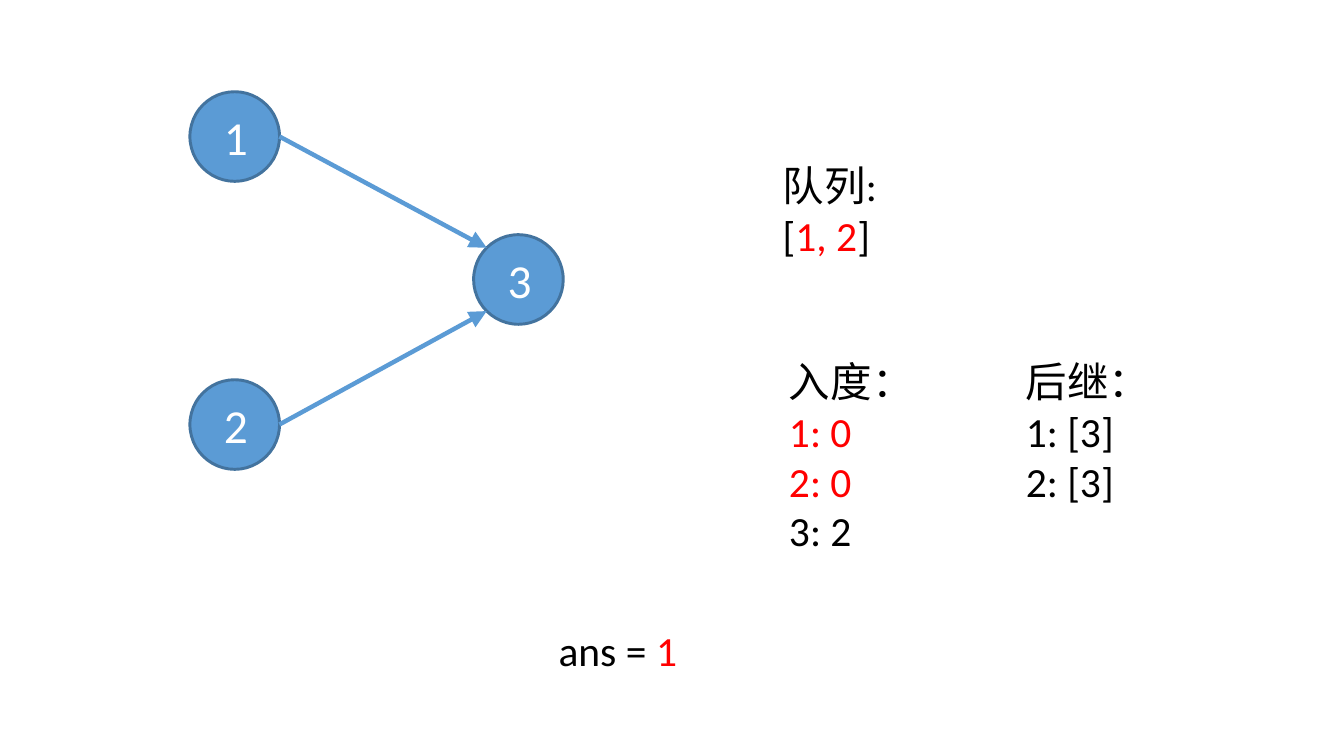
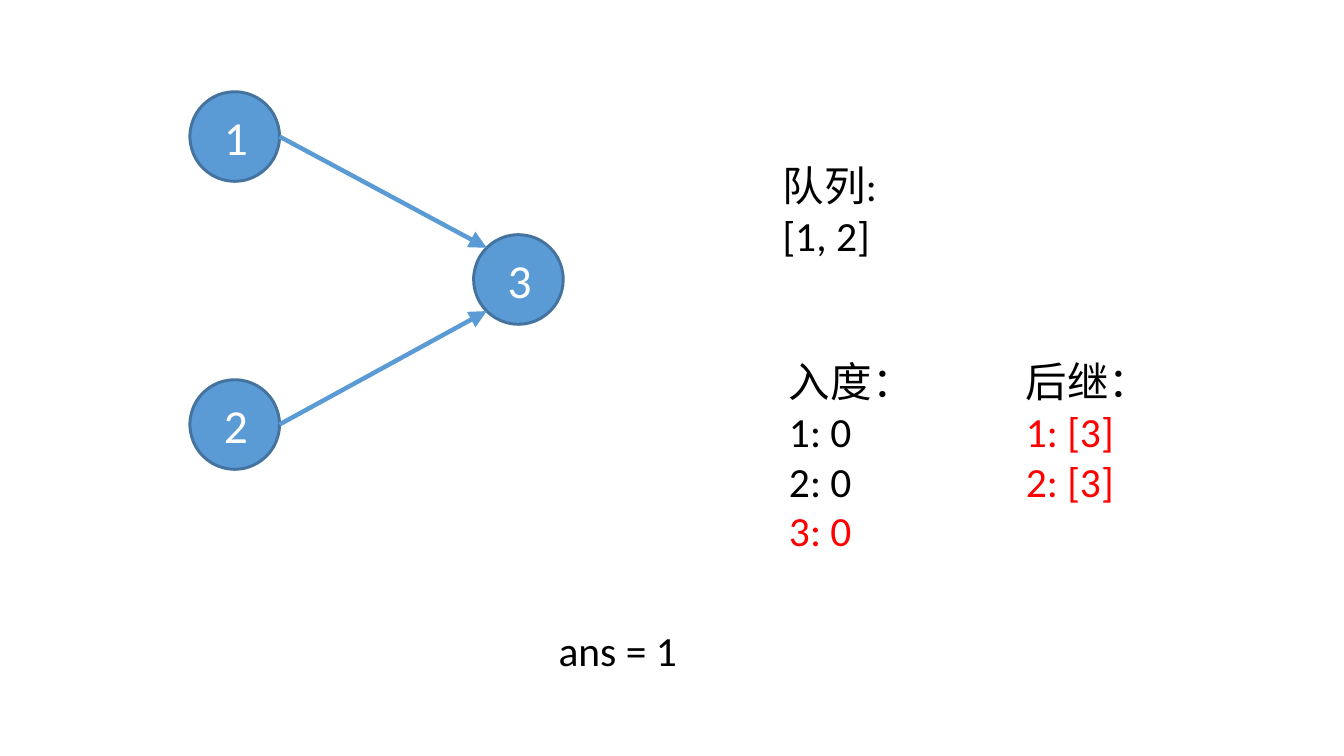
from math import sqrt

from lxml.etree import SubElement
from pptx import Presentation
from pptx.dml.color import RGBColor
from pptx.enum.shapes import MSO_CONNECTOR, MSO_SHAPE
from pptx.enum.text import MSO_ANCHOR, MSO_AUTO_SIZE, PP_ALIGN
from pptx.oxml.ns import qn
from pptx.util import Inches, Pt

BLUE = RGBColor(0x5B, 0x9B, 0xD5)
DARK_BLUE = RGBColor(0x43, 0x73, 0x9E)
WHITE = RGBColor(0xFF, 0xFF, 0xFF)
BLACK = RGBColor(0x00, 0x00, 0x00)
RED = RGBColor(0xFF, 0x00, 0x00)
FONT = "Calibri"

# Widescreen page, 16:9
PAGE_WIDTH = 6.3
PAGE_HEIGHT = PAGE_WIDTH * 9 / 16

DIAMETER = 0.42
# Left and top of each node inside the graph region
NODES = {"1": (0, 0), "2": (0, 1.35), "3": (1.33, 0.67)}
EDGES = [("1", "3"), ("2", "3")]


def write_text(frame, lines, size=14, color=BLACK, align=PP_ALIGN.LEFT):
    """Each line is a list of (text, highlighted) spans."""
    for index, line in enumerate(lines):
        para = frame.paragraphs[0] if index == 0 else frame.add_paragraph()
        para.alignment = align
        for text, highlighted in line:
            span = para.add_run()
            span.text = text
            span.font.name = FONT
            span.font.size = Pt(size)
            span.font.color.rgb = RED if highlighted else color


def add_text(page, lines, left, top, width, height):
    box = page.shapes.add_textbox(
        Inches(left), Inches(top), Inches(width), Inches(height))
    box.text_frame.word_wrap = True
    box.text_frame.auto_size = MSO_AUTO_SIZE.SHAPE_TO_FIT_TEXT
    write_text(box.text_frame, lines)


def add_node(page, label, left, top):
    node = page.shapes.add_shape(
        MSO_SHAPE.OVAL, Inches(left), Inches(top),
        Inches(DIAMETER), Inches(DIAMETER))
    node.shadow.inherit = False
    node.fill.solid()
    node.fill.fore_color.rgb = BLUE
    node.line.color.rgb = DARK_BLUE
    node.line.width = Pt(1)
    node.text_frame.vertical_anchor = MSO_ANCHOR.MIDDLE
    write_text(node.text_frame, [[(label, False)]], size=16, color=WHITE,
               align=PP_ALIGN.CENTER)


def add_arrow(page, start, end):
    points = [Inches(value) for value in (*start, *end)]
    arrow = page.shapes.add_connector(MSO_CONNECTOR.STRAIGHT, *points)
    arrow.line.color.rgb = BLUE
    arrow.line.width = Pt(1.5)
    properties = arrow._element.spPr
    SubElement(properties.find(qn("a:ln")), qn("a:tailEnd"), type="triangle")
    SubElement(properties, qn("a:effectLst"))


def add_graph(page, left, top):
    radius = DIAMETER / 2
    centers = {}
    for label, (x, y) in NODES.items():
        add_node(page, label, left + x, top + y)
        centers[label] = (left + x + radius, top + y + radius)

    # Edges run from the right side to the nearer left diagonal of the target
    diagonal = radius / sqrt(2)
    for source, target in EDGES:
        (start_x, start_y), (end_x, end_y) = centers[source], centers[target]
        offset = -diagonal if start_y < end_y else diagonal
        add_arrow(page, (start_x + radius, start_y),
                  (end_x - diagonal, end_y + offset))


def add_state(page, left, top, queue, degrees, successors):
    """Queue above, in-degrees and successors side by side below."""
    add_text(page, [[("队列:", False)], queue], left, top, 2.03, 0.57)
    add_text(page, [[("入度：", False)], *degrees],
             left + 0.03, top + 0.92, 0.95, 1.04)
    add_text(page, [[("后继：", False)], *successors],
             left + 1.14, top + 0.92, 0.89, 0.81)


def add_step(deck, queue, degrees, successors, answer):
    page = deck.slides.add_slide(deck.slide_layouts[6])
    add_graph(page, 0.89, 0.43)
    add_state(page, 3.57, 0.7, queue, degrees, successors)
    add_text(page, [answer], 2.52, 2.88, 1.63, 0.34)


def main():
    deck = Presentation()
    deck.slide_width = Inches(PAGE_WIDTH)
    deck.slide_height = Inches(PAGE_HEIGHT)

    # Nodes without predecessors enter the queue
    add_step(
        deck,
        queue=[("[", False), ("1, 2", True), ("]", False)],
        degrees=[[("1: 0", True)], [("2: 0", True)], [("3: 2", False)]],
        successors=[[("1: [3]", False)], [("2: [3]", False)]],
        answer=[("ans = ", False), ("1", True)])

    # Their successors lose in-degree
    add_step(
        deck,
        queue=[("[1, 2]", False)],
        degrees=[[("1: 0", False)], [("2: 0", False)], [("3: 0", True)]],
        successors=[[("1: [3]", True)], [("2: [3]", True)]],
        answer=[("ans = 1", False)])

    deck.save("out.pptx")


if __name__ == "__main__":
    main()
